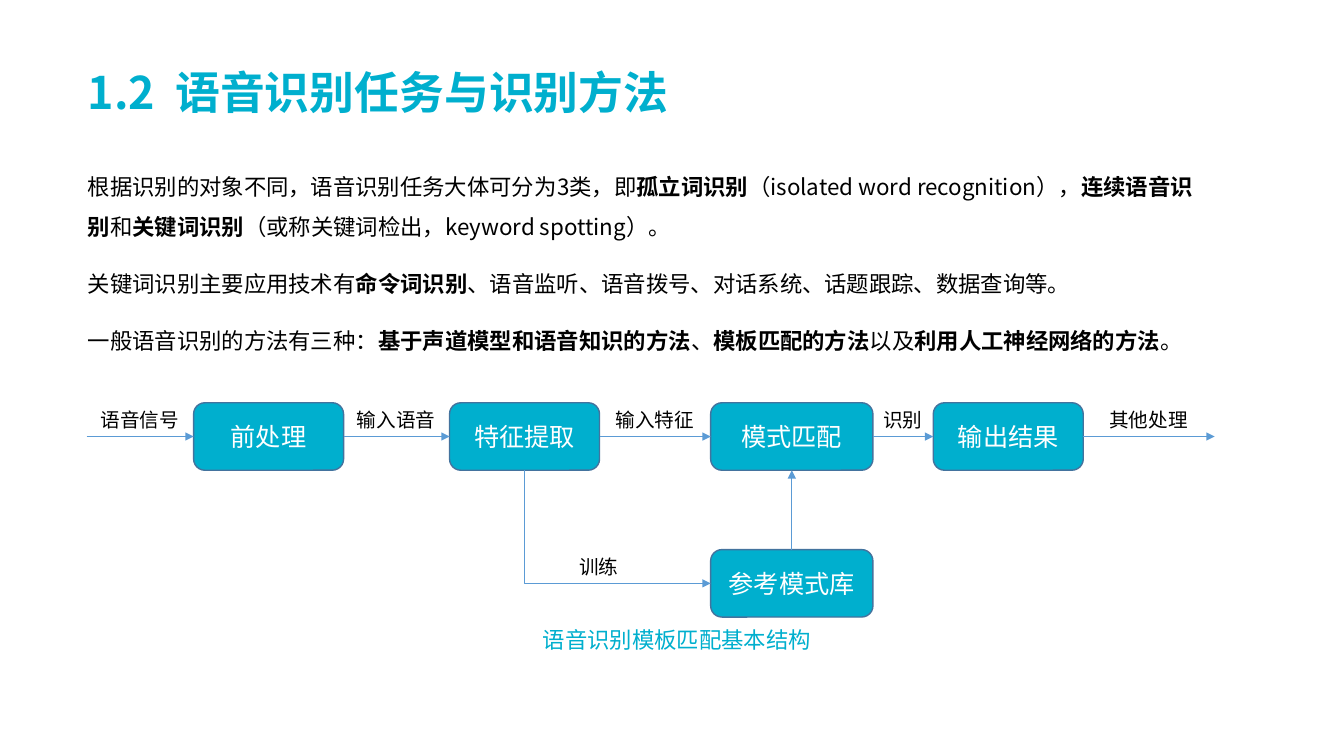
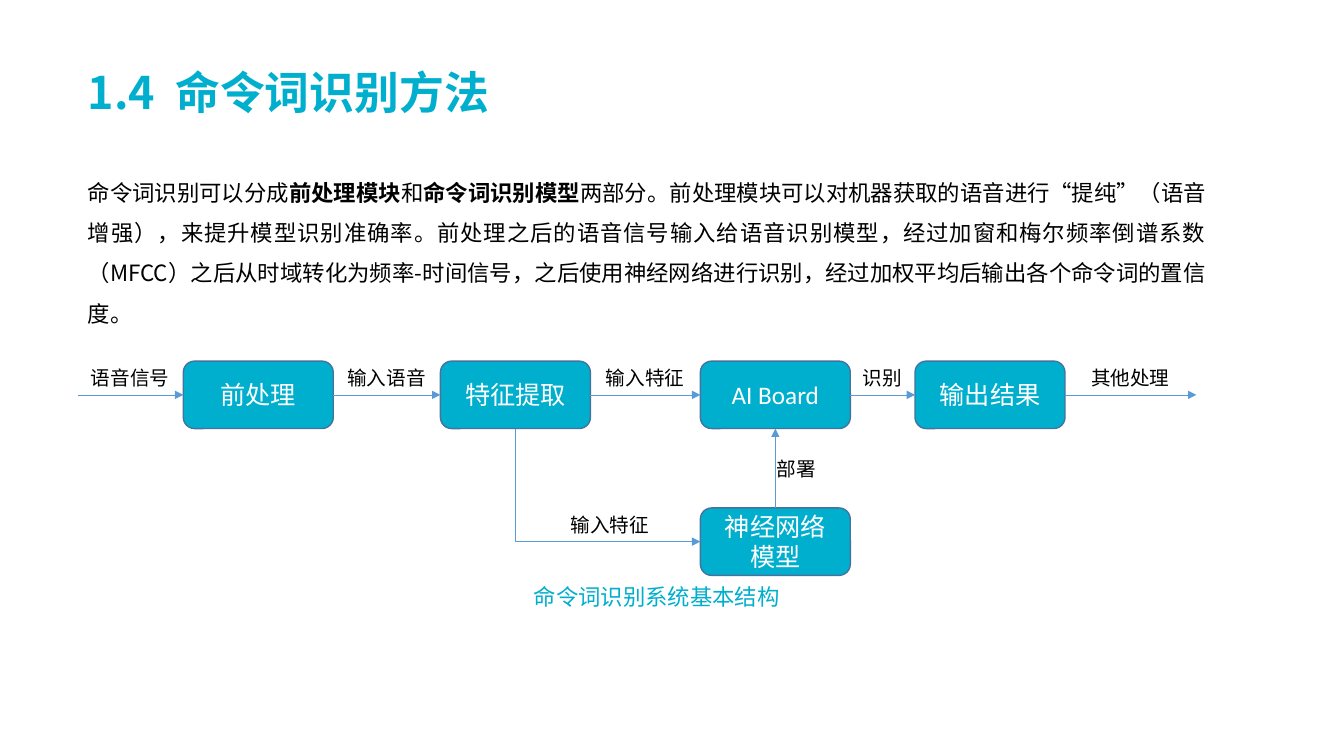
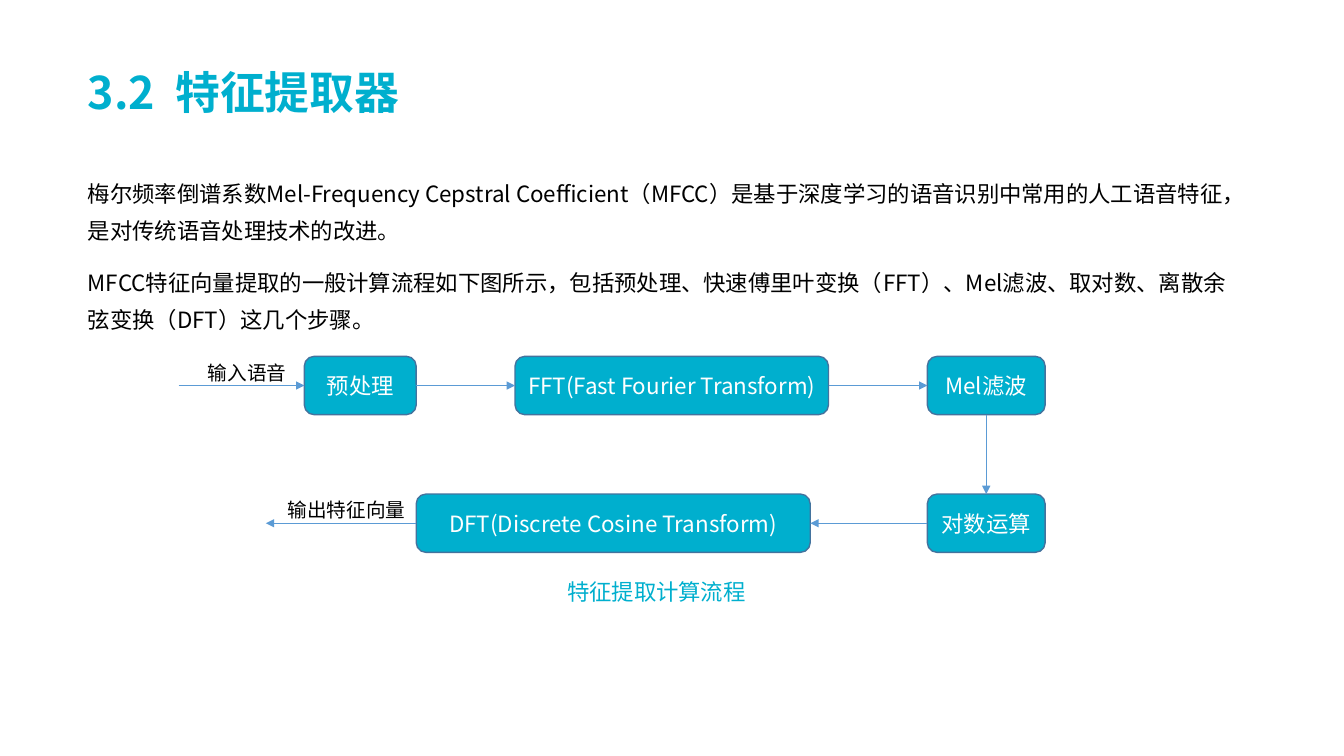
from lxml.etree import SubElement
from pptx import Presentation
from pptx.dml.color import RGBColor
from pptx.enum.shapes import MSO_CONNECTOR, MSO_SHAPE
from pptx.enum.text import MSO_ANCHOR, MSO_AUTO_SIZE, PP_ALIGN
from pptx.oxml.ns import qn
from pptx.util import Cm, Pt

TEAL = RGBColor(0x00, 0xAF, 0xCE)
OUTLINE = RGBColor(0x43, 0x73, 0x9E)
ARROW = RGBColor(0x5B, 0x9B, 0xD5)
BLACK = RGBColor(0x00, 0x00, 0x00)
WHITE = RGBColor(0xFF, 0xFF, 0xFF)
SANS = "Noto Sans CJK SC"
LATIN = "Calibri"

TOP, LEFT, BOTTOM, RIGHT = range(4)
MARGIN = 1.96
ROW_STEP = 3.7

RECOGNITION_ARROWS = [
    ("in", RIGHT, "pre", LEFT, "语音信号"),
    ("pre", RIGHT, "extract", LEFT, "输入语音"),
    ("extract", RIGHT, "match", LEFT, "输入特征"),
    ("match", RIGHT, "result", LEFT, "识别"),
    ("result", RIGHT, "out", LEFT, "其他处理"),
    ("extract", BOTTOM, "library", LEFT, ""),
    ("library", TOP, "match", BOTTOM, ""),
]


def recognition_boxes(top, lefts, match, library, match_width):
    pre, extract, middle, result = lefts
    return {
        "pre": (pre, top, 3.78, "前处理", SANS),
        "extract": (extract, top, 3.78, "特征提取", SANS),
        "match": (middle, top, match_width, match, LATIN),
        "result": (result, top, 3.78, "输出结果", SANS),
        "library": (middle, top + ROW_STEP, match_width, library, SANS),
    }


SLIDES = [
    {
        "title": ("1.2", "语音识别任务与识别方法"),
        "body": [
            ["根据识别的对象不同，语音识别任务大体可分为3类，即", "孤立词识别",
             "（isolated word recognition），", "连续语音识别", "和", "关键词识别",
             "（或称关键词检出，keyword spotting）。"],
            ["关键词识别主要应用技术有", "命令词识别",
             "、语音监听、语音拨号、对话系统、话题跟踪、数据查询等。"],
            ["一般语音识别的方法有三种：", "基于声道模型和语音知识的方法", "、",
             "模板匹配的方法", "以及", "利用人工神经网络的方法", "。"],
        ],
        "body_box": (3.89, 28.58, 5.3),
        "line": 28.8, "gap": 12, "align": PP_ALIGN.LEFT,
        "boxes": recognition_boxes(10.15, (4.88, 11.33, 17.91, 23.52),
                                   "模式匹配", "参考模式库", 4.09),
        "box_height": 1.7, "box_size": 18,
        "ends": {"in": 2.18, "out": 30.61},
        "arrows": RECOGNITION_ARROWS,
        "labels": [("训练", 15.1, 13.85, SANS)],
        "caption": ("语音识别模板匹配基本结构", 17.08, 15.65),
    },
    {
        "title": ("1.4", "命令词识别方法"),
        "body": [
            ["命令词识别可以分成", "前处理模块", "和", "命令词识别模型",
             "两部分。前处理模块可以对机器获取的语音进行“提纯”（语音增强），"
             "来提升模型识别准确率。前处理之后的语音信号输入给语音识别模型，"
             "经过加窗和梅尔频率倒谱系数（MFCC）之后从时域转化为频率-时间信号，"
             "之后使用神经网络进行识别，经过加权平均后输出各个命令词的置信度。"],
        ],
        "body_box": (4.04, 28.7, 4.24),
        "line": 28.8, "gap": 0, "align": PP_ALIGN.JUSTIFY,
        "boxes": recognition_boxes(9.1, (4.62, 11.1, 17.65, 23.06),
                                   "AI Board", "神经网络模型", 3.78),
        "box_height": 1.7, "box_size": 18,
        "ends": {"in": 1.96, "out": 30.15},
        "arrows": RECOGNITION_ARROWS,
        "labels": [("输入特征", 15.38, 12.8, SANS), ("部署", 20.08, 11.4, LATIN)],
        "caption": ("命令词识别系统基本结构", 16.57, 14.58),
    },
    {
        "title": ("3.2", "特征提取器"),
        "body": [
            ["梅尔频率倒谱系数Mel-Frequency Cepstral Coefficient（MFCC）是基于深度学习的"
             "语音识别中常用的人工语音特征，是对传统语音处理技术的改进。"],
            ["MFCC特征向量提取的一般计算流程如下图所示，包括预处理、快速傅里叶变换（FFT）、"
             "Mel滤波、取对数、离散余弦变换（DFT）这几个步骤。"],
        ],
        "body_box": (4.14, 29.21, 4.52),
        "line": 26.8, "gap": 10, "align": PP_ALIGN.LEFT,
        "boxes": {
            "pre": (7.67, 8.98, 2.82, "预处理", SANS),
            "fft": (12.98, 8.98, 7.9, "FFT(Fast Fourier Transform)", SANS),
            "mel": (23.37, 8.98, 2.97, "Mel滤波", SANS),
            "log": (23.37, 12.45, 2.97, "对数运算", SANS),
            "dft": (10.49, 12.45, 9.93, "DFT(Discrete Cosine Transform)", SANS),
        },
        "box_height": 1.47, "box_size": 16,
        "ends": {"in": 4.5, "out": 6.7},
        "arrows": [
            ("in", RIGHT, "pre", LEFT, ""),
            ("pre", RIGHT, "fft", LEFT, ""),
            ("fft", RIGHT, "mel", LEFT, ""),
            ("mel", BOTTOM, "log", TOP, ""),
            ("log", LEFT, "dft", RIGHT, ""),
            ("dft", LEFT, "out", RIGHT, ""),
        ],
        "labels": [("输入语音", 6.24, 8.98, SANS), ("输出特征向量", 8.74, 12.42, SANS)],
        "caption": ("特征提取计算流程", 16.56, 14.45),
    },
]


def add_run(paragraph, text, size, color, bold=False, font=SANS):
    run = paragraph.add_run()
    run.text = text
    run.font.size = Pt(size)
    run.font.bold = bold
    run.font.color.rgb = color
    run.font.name = font
    SubElement(run.font._element, qn("a:ea")).set("typeface", SANS)
    return run


def place(shape, left, top, width, height):
    shape.left, shape.top = Cm(left), Cm(top)
    shape.width, shape.height = Cm(width), Cm(height)


def fill_title(shape, number, text):
    place(shape, MARGIN, 0.84, 29.21, 3.12)
    frame = shape.text_frame
    frame.auto_size = MSO_AUTO_SIZE.NONE
    frame.vertical_anchor = MSO_ANCHOR.MIDDLE
    paragraph = frame.paragraphs[0]
    paragraph.alignment = PP_ALIGN.LEFT
    paragraph.line_spacing = 0.9
    add_run(paragraph, number, 32, TEAL, True)
    gap = add_run(paragraph, " ", 32, TEAL, True)
    gap.font._element.set("spc", "700")
    add_run(paragraph, text, 32, TEAL, True)


def fill_body(shape, content):
    top, width, height = content["body_box"]
    place(shape, MARGIN, top, width, height)
    frame = shape.text_frame
    frame.auto_size = MSO_AUTO_SIZE.NONE
    for index, runs in enumerate(content["body"]):
        paragraph = frame.add_paragraph() if index else frame.paragraphs[0]
        paragraph.alignment = content["align"]
        paragraph.line_spacing = Pt(content["line"])
        paragraph.space_before = Pt(0)
        paragraph.space_after = Pt(content["gap"])
        properties = paragraph._p.get_or_add_pPr()
        properties.set("marL", "0")
        properties.set("indent", "0")
        SubElement(properties, qn("a:buNone"))
        for position, text in enumerate(runs):
            add_run(paragraph, text, 16, BLACK, position % 2 == 1)


def add_box(slide, box, height, size):
    left, top, width, text, font = box
    shape = slide.shapes.add_shape(
        MSO_SHAPE.ROUNDED_RECTANGLE, Cm(left), Cm(top), Cm(width), Cm(height))
    shape.shadow.inherit = False
    shape.fill.solid()
    shape.fill.fore_color.rgb = TEAL
    shape.line.color.rgb = OUTLINE
    shape.line.width = Pt(1)
    shape.text_frame.vertical_anchor = MSO_ANCHOR.MIDDLE
    paragraph = shape.text_frame.paragraphs[0]
    paragraph.alignment = PP_ALIGN.CENTER
    add_run(paragraph, text, size, WHITE, font=font)
    return shape


def add_label(slide, text, center, top, size=14, color=BLACK, font=SANS):
    width = Pt(size * len(text)) + Cm(0.52)
    label = slide.shapes.add_textbox(
        Cm(center) - width // 2, Cm(top), width, Cm(0.87 if size == 14 else 0.94))
    label.text_frame.word_wrap = False
    add_run(label.text_frame.paragraphs[0], text, size, color, font=font)


def site_point(shape, site):
    x = {LEFT: 0, RIGHT: shape.width}.get(site, shape.width // 2)
    y = {TOP: 0, BOTTOM: shape.height}.get(site, shape.height // 2)
    return shape.left + x, shape.top + y


def bend(connector, start, end):
    run, drop = end[0] - start[0], end[1] - start[1]
    connector.left = start[0] + (run - drop) // 2
    connector.top = start[1] + (drop - run) // 2
    connector.width, connector.height = drop, run
    properties = connector._element.spPr
    properties.find(qn("a:prstGeom")).set("prst", "bentConnector2")
    transform = properties.find(qn("a:xfrm"))
    transform.set("rot", "16200000")
    transform.set("flipH", "1")


def add_arrow(slide, shapes, ends, arrow):
    source, source_site, target, target_site, text = arrow
    first, last = shapes.get(source), shapes.get(target)
    start = site_point(first, source_site) if first else None
    end = site_point(last, target_site) if last else (Cm(ends[target]), start[1])
    start = start or (Cm(ends[source]), end[1])
    bent = source_site == BOTTOM and target_site == LEFT
    kind = MSO_CONNECTOR.ELBOW if bent else MSO_CONNECTOR.STRAIGHT
    connector = slide.shapes.add_connector(kind, *start, *end)
    if first:
        connector.begin_connect(first, source_site)
    if last:
        connector.end_connect(last, target_site)
    if bent:
        bend(connector, start, end)
    connector.line.color.rgb = ARROW
    connector.line.width = Pt(0.5)
    SubElement(connector.line._get_or_add_ln(), qn("a:tailEnd")).set("type", "triangle")
    SubElement(connector._element.spPr, qn("a:effectLst"))
    if text:
        row_top = (first or last).top
        add_label(slide, text, (start[0] + end[0]) / 2 / Cm(1), row_top / Cm(1))


def build_slide(presentation, content):
    slide = presentation.slides.add_slide(presentation.slide_layouts[1])
    fill_title(slide.shapes.title, *content["title"])
    fill_body(slide.placeholders[1], content)
    shapes = {name: add_box(slide, box, content["box_height"], content["box_size"])
              for name, box in content["boxes"].items()}
    for arrow in content["arrows"]:
        add_arrow(slide, shapes, content["ends"], arrow)
    for text, center, top, font in content["labels"]:
        add_label(slide, text, center, top, font=font)
    add_label(slide, *content["caption"], size=16, color=TEAL)


def main():
    presentation = Presentation()
    presentation.slide_width, presentation.slide_height = Cm(33.87), Cm(19.05)
    for content in SLIDES:
        build_slide(presentation, content)
    presentation.save("out.pptx")


if __name__ == "__main__":
    main()
